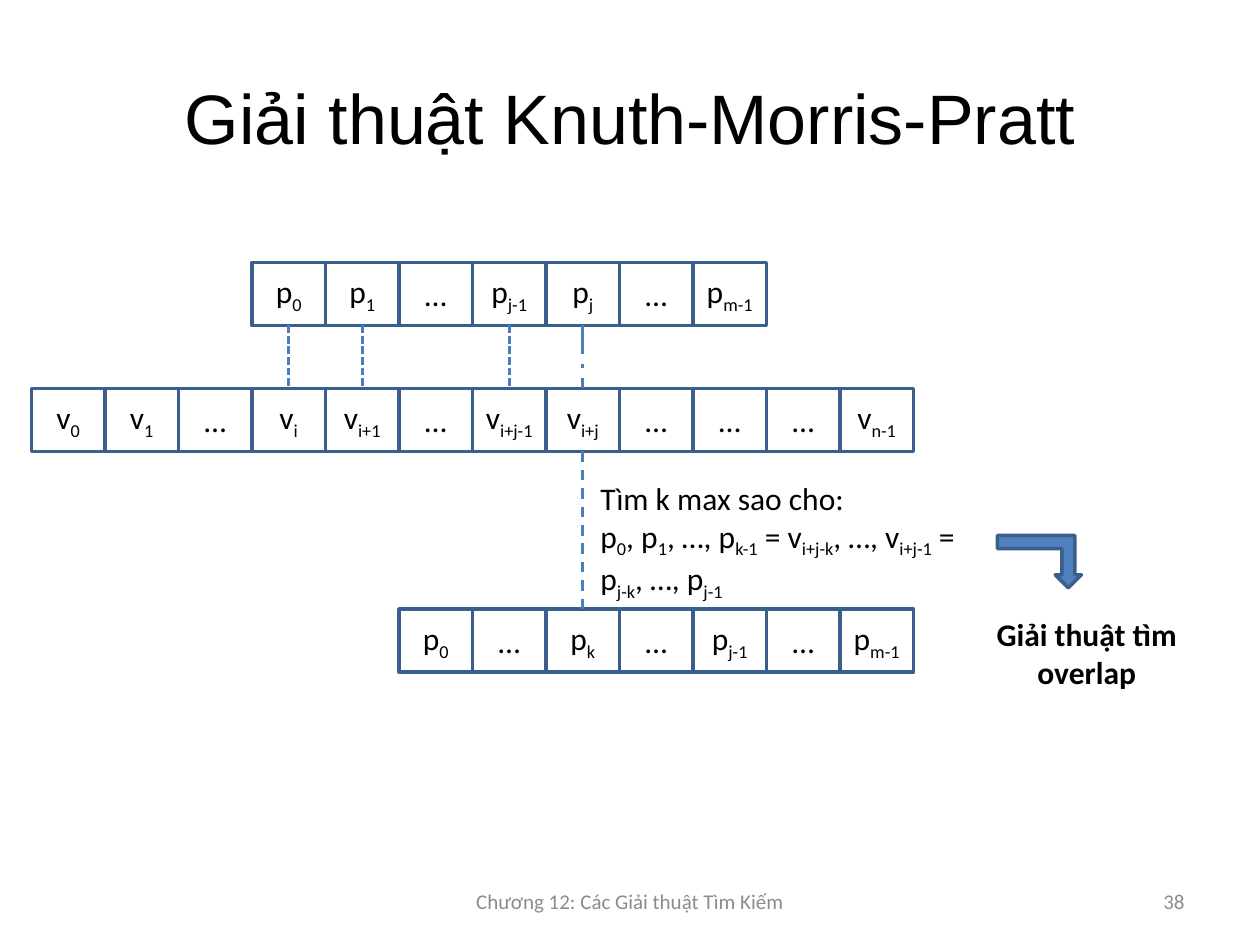
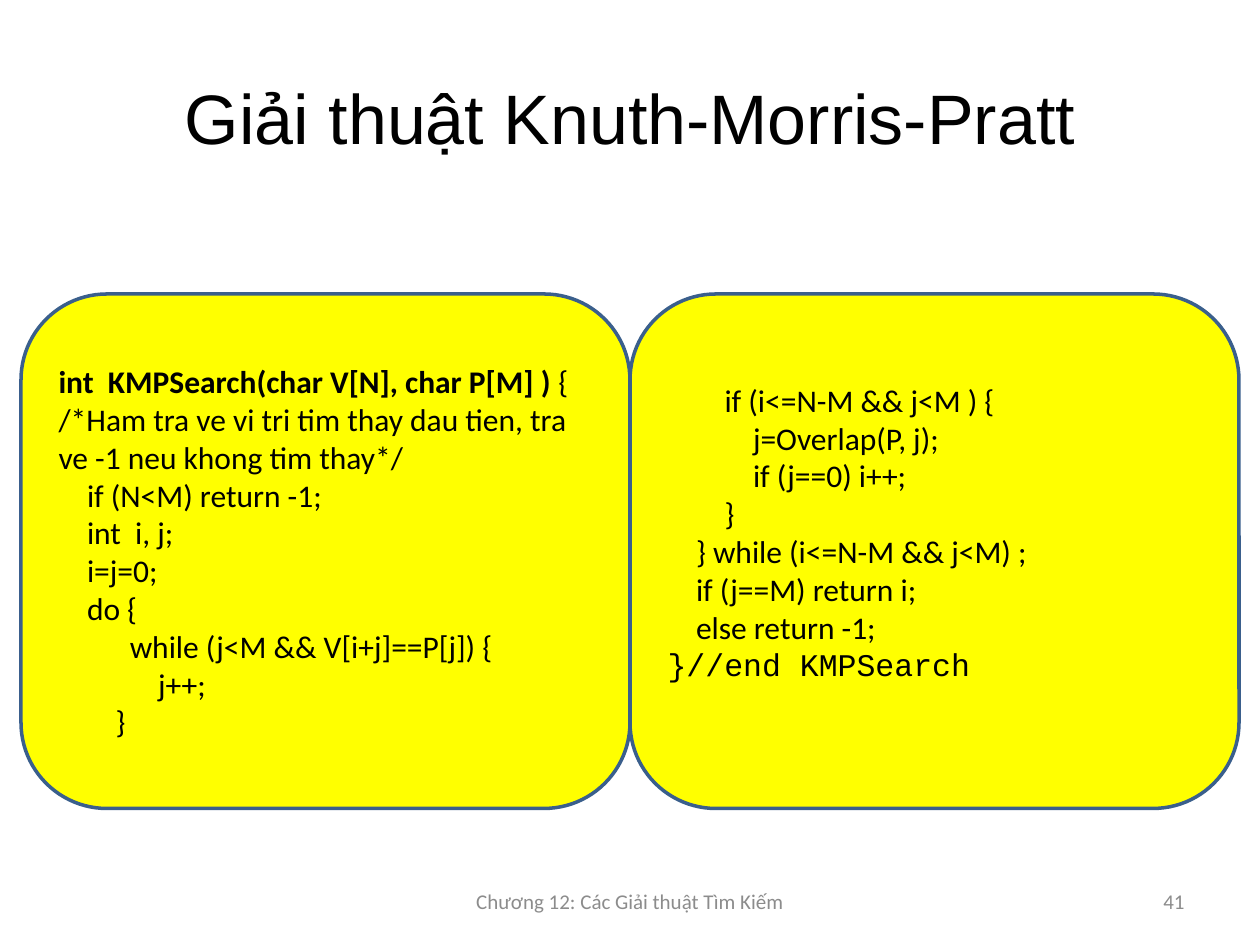
from dataclasses import dataclass

from lxml import etree
from pptx import Presentation
from pptx.dml.color import RGBColor
from pptx.enum import dml, shapes, text
from pptx.oxml import ns
from pptx.util import Pt

LEFT, MID, RIGHT = text.PP_ALIGN.LEFT, text.PP_ALIGN.CENTER, text.PP_ALIGN.RIGHT
KIND = shapes.MSO_SHAPE
DASH = dml.MSO_LINE


@dataclass(frozen=True)
class Theme:
    ink: str = "000000"
    edge: str = "3A5F8C"
    link: str = "4B7EBC"
    arrow: str = "4F81BD"
    panel: str = "FFFF00"
    muted: str = "8C8C8C"
    head: str = "Arial"
    body: str = "Calibri"
    mono: str = "Courier New"
    large: int = 40
    norm: int = 18
    small: int = 12
    border: int = 2
    space: float = 4.07  # width of one body space


class Deck:
    def __init__(self, theme):
        self.theme = theme
        self.prs = Presentation()
        self.prs.slide_width, self.prs.slide_height = Pt(720), Pt(540)
        self.slide = None

    def page(self, title, footer, number):
        """Start a slide with its title and footer."""
        t = self.theme
        self.slide = self.prs.slides.add_slide(self.prs.slide_layouts[6])
        self.label([title], 36, 21.6, 648, 90, MID, True, size=t.large, font=t.head)
        self.label([footer], 246, 500.4, 228, 28.8, MID, True, size=t.small, color=t.muted)
        self.label([number], 516, 500.4, 168, 28.8, RIGHT, True, size=t.small, color=t.muted)

    def style(self, run, size=None, font=None, color=None, bold=False):
        t = self.theme
        run.font.size = Pt(size or t.norm)
        run.font.name = font or t.body
        run.font.color.rgb = RGBColor.from_string(color or t.ink)
        run.font.bold = bold

    def fill_text(self, frame, lines, align, **look):
        """Fill a frame; text between tildes becomes a subscript."""
        frame.word_wrap = True
        frame.text = "\n".join(lines)
        for par, line in zip(frame.paragraphs, lines):
            par.alignment = align
            par.text = ""
            for i, part in enumerate(line.split("~")):
                if part:
                    run = par.add_run()
                    run.text = part
                    self.style(run, **look)
                    if i % 2:
                        run._r.get_or_add_rPr().set("baseline", "-25000")

    def label(self, lines, x, y, w, h, align=LEFT, middle=False, **look):
        box = self.slide.shapes.add_textbox(Pt(x), Pt(y), Pt(w), Pt(h))
        self.fill_text(box.text_frame, lines, align, **look)
        if middle:
            box.text_frame.vertical_anchor = text.MSO_ANCHOR.MIDDLE

    def shape(self, kind, x, y, w, h, fill=None):
        item = self.slide.shapes.add_shape(kind, Pt(x), Pt(y), Pt(w), Pt(h))
        item.shadow.inherit = False
        if fill:
            item.fill.solid()
            item.fill.fore_color.rgb = RGBColor.from_string(fill)
        else:
            item.fill.background()
        item.line.color.rgb = RGBColor.from_string(self.theme.edge)
        item.line.width = Pt(self.theme.border)
        item.text_frame.vertical_anchor = text.MSO_ANCHOR.MIDDLE
        return item

    def row(self, cells, x, y, w, h):
        """Draw an array as touching cells."""
        for i, cell in enumerate(cells):
            frame = self.shape(KIND.RECTANGLE, x + i * w, y, w, h).text_frame
            frame.margin_left = frame.margin_right = 0
            frame.margin_top = frame.margin_bottom = 0
            self.fill_text(frame, [cell], MID)

    def drop(self, x, top, end, dash, width=1.5):
        """Draw a dashed vertical line."""
        line = self.slide.shapes.add_connector(
            shapes.MSO_CONNECTOR.STRAIGHT, Pt(x), Pt(top), Pt(x), Pt(end))
        line.line.color.rgb = RGBColor.from_string(self.theme.link)
        line.line.width = Pt(width)
        line.line.dash_style = dash
        etree.SubElement(line._element.spPr, ns.qn("a:effectLst"))

    def panel(self, lines, x, y, w, h):
        """Draw a panel of (indent in spaces, code) lines."""
        item = self.shape(KIND.ROUNDED_RECTANGLE, x, y, w, h, self.theme.panel)
        item.adjustments[0] = 0.167
        frame = item.text_frame
        self.fill_text(frame, [line for _, line in lines], LEFT)
        for par, (depth, _) in zip(frame.paragraphs, lines):
            par._p.get_or_add_pPr().set("marL", str(Pt(depth * self.theme.space)))
        return frame


def match(deck):
    """Slide: pattern under text, then shifted pattern."""
    left, wide, high = 18, 42, 36
    pat, txt, moved = 150, 222, 348

    def col(i):
        return left + i * wide

    # Arrays
    deck.row(["p~0", "p~1", "…", "p~j-1", "p~j", "…", "p~m-1"], col(3), pat, wide, high)
    deck.row(["v~0", "v~1", "…", "v~i", "v~i+1", "…", "v~i+j-1", "v~i+j",
              "…", "…", "…", "v~n-1"], col(0), txt, wide, high)
    deck.row(["p~0", "…", "p~k", "…", "p~j-1", "…", "p~m-1"], col(5), moved, wide, high)

    # Comparisons
    for i in (3, 4, 6):
        deck.drop(col(i + 0.5), pat + high, txt, DASH.SQUARE_DOT)
    deck.drop(col(7.5), pat + high, txt, DASH.LONG_DASH_DOT, 2)
    deck.drop(col(7.5), txt + high, moved, DASH.DASH)

    # Rule and its result
    deck.label(["Tìm k max sao cho:",
                "p~0~, p~1~, …, p~k-1~ = v~i+j-k~, …, v~i+j-1~ =",
                "p~j-k~, …, p~j-1"], 336, 270, 228, 72.7)
    deck.label(["Giải thuật tìm overlap"], 546, 348, 150, 51, MID, bold=True)
    arrow = deck.shape(KIND.BENT_UP_ARROW, 570, 306, 48, 30, deck.theme.arrow)
    arrow._element.spPr.find(ns.qn("a:xfrm")).set("flipV", "1")


def search(deck):
    """Slide: the search function in two panels."""
    top, wide, high = 168, 348, 294
    first = deck.panel([
        (0, "int  KMPSearch(char V[N], char P[M] ) ~~{"),
        (0, "/*Ham tra ve vi tri tim thay dau tien, tra ve -1 neu khong tim thay*/"),
        (4, "if (N<M) return -1;"),
        (4, "int  i, j;"),
        (4, "i=j=0;"),
        (4, "do {"),
        (10, "while (j<M && V[i+j]==P[j]) {"),
        (14, "j++;"),
        (8, "}"),
    ], 12, top, wide, high)
    first.paragraphs[0].runs[0].font.bold = True

    last = deck.panel([
        (8, "if (i<=N-M && j<M ) {"),
        (12, "j=Overlap(P, j);"),
        (12, "if (j==0) i++;"),
        (8, "}"),
        (4, "} while (i<=N-M && j<M) ;"),
        (4, "if (j==M) return i;"),
        (4, "else return -1;"),
        (0, "}//end KMPSearch"),
    ], 12 + wide, top, wide, high)
    last.margin_bottom = Pt(25.6)
    last.paragraphs[-1].runs[0].font.name = deck.theme.mono


def main():
    deck = Deck(Theme())
    for number, draw in (("38", match), ("41", search)):
        deck.page("Giải thuật Knuth-Morris-Pratt", "Chương 12: Các Giải thuật Tìm Kiếm", number)
        draw(deck)
    deck.prs.save("out.pptx")


if __name__ == "__main__":
    main()
